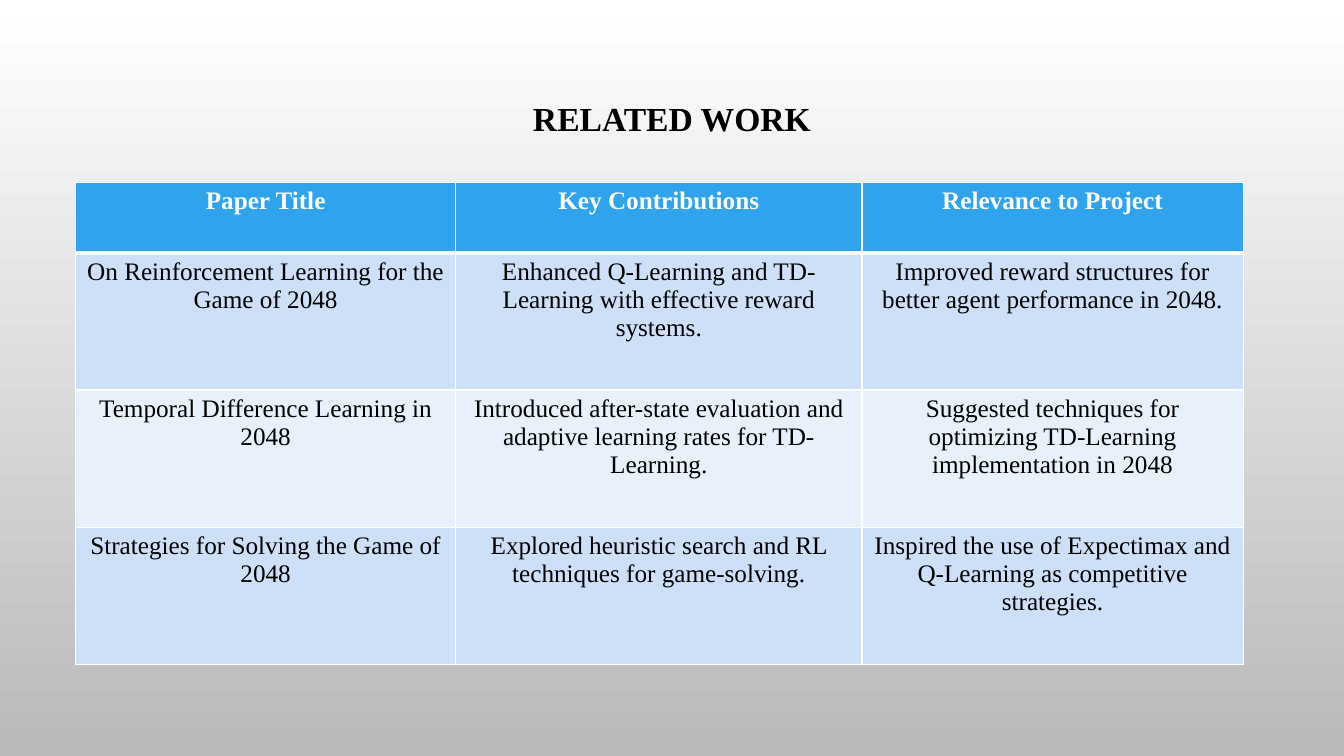
from lxml import etree
from pptx import Presentation
from pptx.dml.color import RGBColor
from pptx.enum.text import MSO_ANCHOR, PP_ALIGN
from pptx.oxml.ns import qn
from pptx.util import Inches, Pt

CENTER, MIDDLE = PP_ALIGN.CENTER, MSO_ANCHOR.MIDDLE
BLACK = RGBColor(0x00, 0x00, 0x00)
WHITE = RGBColor(0xFF, 0xFF, 0xFF)
GRAY = RGBColor(0xB9, 0xB9, 0xB9)
HEADER_BLUE = RGBColor(0x2F, 0xA3, 0xEE)
BANDS = (RGBColor(0xE8, 0xF0, 0xFC), RGBColor(0xCD, 0xE0, 0xF8))

FONT = "Times New Roman"
TITLE_FORMAT = {"name": FONT, "size": Pt(24), "bold": True}
HEADER_FORMAT = {"name": FONT, "size": Pt(18), "bold": True}
BODY_FORMAT = {"name": FONT, "size": Pt(18), "bold": False}

TITLE_BOX = (1, 0.68, 11.33, 1.03)
TABLE_BOX = (0.75, 1.81, 11.58, 4.78)
COLUMN_WIDTHS = (3.77, 4.03, 3.78)
ROW_HEIGHTS = (0.7, 1.36, 1.36, 1.36)
PAPERS = (
    ("Paper Title", "Key Contributions", "Relevance to Project"),
    ("On Reinforcement Learning for the Game of 2048",
     "Enhanced Q-Learning and TD-Learning with effective reward systems.",
     "Improved reward structures for better agent performance in 2048."),
    ("Temporal Difference Learning in 2048",
     "Introduced after-state evaluation and adaptive learning rates for TD-Learning.",
     "Suggested techniques for optimizing TD-Learning implementation in 2048"),
    ("Strategies for Solving the Game of 2048",
     "Explored heuristic search and RL techniques for game-solving.",
     "Inspired the use of Expectimax and Q-Learning as competitive strategies."),
)


def write_text(text_frame, text, font_format, color):
    """Write one centred, formatted paragraph."""
    paragraph = text_frame.paragraphs[0]
    paragraph.alignment = CENTER
    run = paragraph.add_run()
    run.text = text
    for attribute, value in font_format.items():
        setattr(run.font, attribute, value)
    run.font.color.rgb = color
    return paragraph


def paint_background(slide):
    """Fade the slide from white at the top to gray at the bottom."""
    fill = slide.background.fill
    fill.gradient()
    fill.gradient_angle = 270
    for stop, color in zip(fill.gradient_stops, (WHITE, GRAY)):
        stop.color.rgb = color


def add_title(slide, box, text):
    """Place the slide title in the middle of its box."""
    text_frame = slide.shapes.add_textbox(*map(Inches, box)).text_frame
    text_frame.word_wrap = True
    text_frame.vertical_anchor = MIDDLE
    write_text(text_frame, text, TITLE_FORMAT, BLACK).line_spacing = 0.9


def add_borders(cell, widths):
    """Draw white cell borders with the given widths in points."""
    properties = cell._tc.get_or_add_tcPr()
    for side, width in widths.items():
        line = etree.SubElement(properties, qn(f"a:ln{side}"), w=str(Pt(width)))
        fill = etree.SubElement(line, qn("a:solidFill"))
        etree.SubElement(fill, qn("a:srgbClr"), val=str(WHITE))


def add_paper_table(slide, box, rows):
    """Place the table of papers with a header and banded rows."""
    table = slide.shapes.add_table(
        len(rows), len(rows[0]), *map(Inches, box)).table
    for column, width in zip(table.columns, COLUMN_WIDTHS):
        column.width = Inches(width)
    for row, height in zip(table.rows, ROW_HEIGHTS):
        row.height = Inches(height)
    for row_index, texts in enumerate(rows):
        is_header = row_index == 0
        font_format = HEADER_FORMAT if is_header else BODY_FORMAT
        color = WHITE if is_header else BLACK
        borders = {"L": 1, "R": 1, "T": 3 if row_index == 1 else 1,
                   "B": 3 if is_header else 1}
        for column_index, text in enumerate(texts):
            cell = table.cell(row_index, column_index)
            add_borders(cell, borders)
            cell.fill.solid()
            cell.fill.fore_color.rgb = (
                HEADER_BLUE if is_header else BANDS[row_index % 2])
            write_text(cell.text_frame, text, font_format, color)


def main():
    """Build and save the related work slide."""
    presentation = Presentation()
    presentation.slide_width = Inches(13.33)
    presentation.slide_height = Inches(7.5)
    slide = presentation.slides.add_slide(presentation.slide_layouts[6])
    paint_background(slide)
    add_title(slide, TITLE_BOX, "RELATED WORK")
    add_paper_table(slide, TABLE_BOX, PAPERS)
    presentation.save("out.pptx")


if __name__ == "__main__":
    main()
